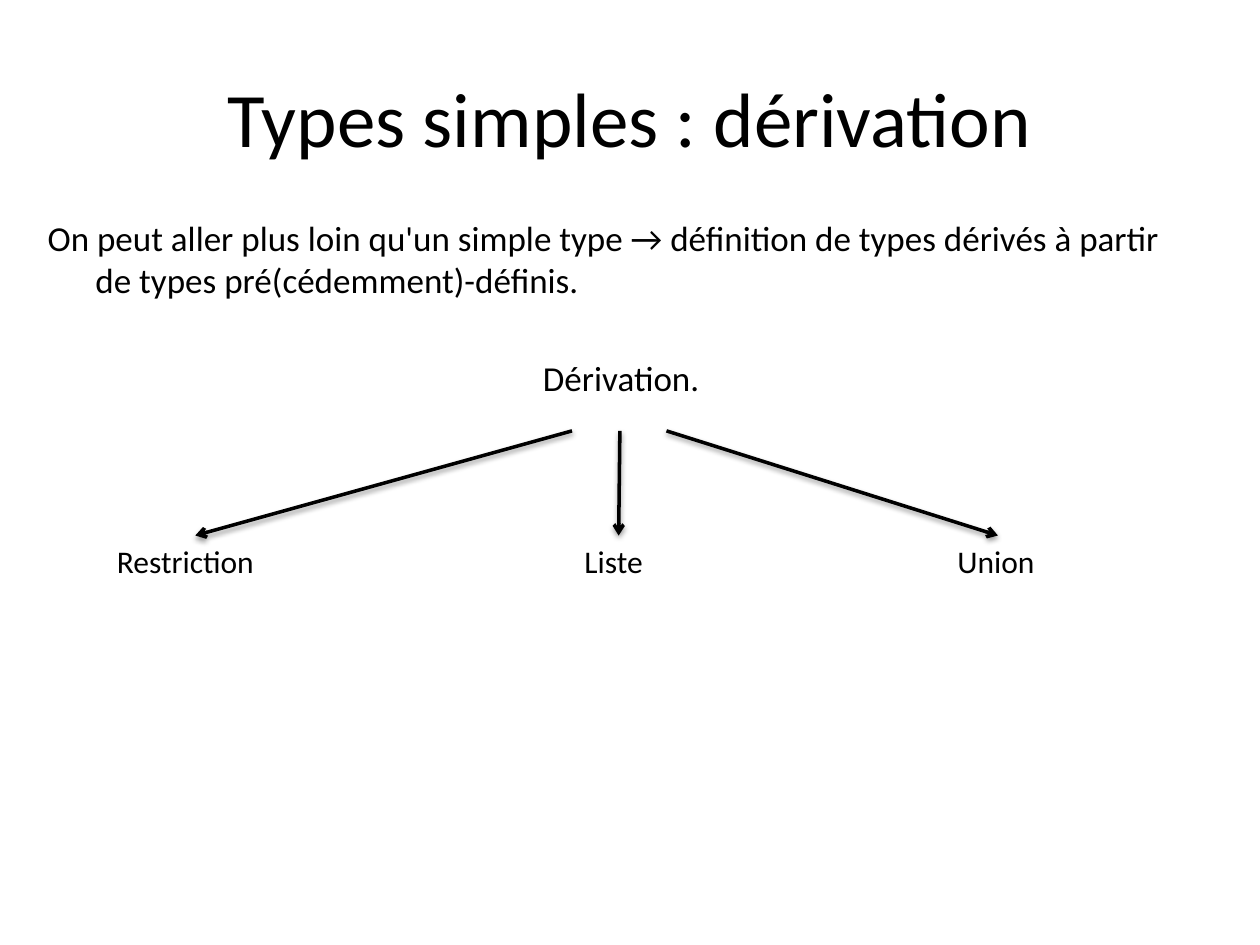
from lxml import etree
from pptx import Presentation
from pptx import util as u
from pptx.dml.color import RGBColor
from pptx.enum import shapes, text
from pptx.oxml.ns import qn

COLORS = {"ink": "000000", "paper": "FFFFFF"}
FONT = "Calibri"

prs = Presentation()
prs.slide_width, prs.slide_height = u.Inches(10), u.Inches(7.5)
# Grid of 100 columns by 75 rows
COL, ROW = prs.slide_width / 100, prs.slide_height / 75
s = prs.slides.add_slide(prs.slide_layouts[6])
s.background.fill.solid()
s.background.fill.fore_color.rgb = RGBColor.from_string(COLORS["paper"])


def grid(*cells):
    """Turn alternating column and row counts into lengths."""
    return [int(n * unit) for n, unit in zip(cells, (COL, ROW) * 2)]


def add_text(cells, lines, size, wrap=True):
    """Add a text box and return its frame."""
    tf = s.shapes.add_textbox(*grid(*cells)).text_frame
    tf.word_wrap = wrap
    tf.text = "\n".join(lines)
    for p in tf.paragraphs:
        for r in p.runs:
            r.font.name, r.font.size = FONT, u.Pt(size)
            r.font.color.rgb = RGBColor.from_string(COLORS["ink"])
    return tf


# Title
tf = add_text((5, 3, 90, 12.5), ["Types simples : dérivation"], 44)
tf.vertical_anchor = text.MSO_ANCHOR.MIDDLE
tf.paragraphs[0].alignment = text.PP_ALIGN.CENTER

# Introduction with a hanging indent, then the root of the tree
tf = add_text((2.8, 16.7, 93, 17.5), [
    "On peut aller plus loin qu'un simple type → définition de types dérivés "
    "à partir de types pré(cédemment)-définis.",
    "Dérivation.",
], 20)
intro, root = tf.paragraphs
pPr = intro._p.get_or_add_pPr()
pPr.set("marL", str(u.Inches(0.38)))
pPr.set("indent", str(-u.Inches(0.38)))
root.alignment = text.PP_ALIGN.CENTER
root.space_before = u.Pt(32)

# Branches: label, its left and width, arrow start and end columns
BRANCHES = [
    ("Restriction", 8.3, 14.4, 45.4, 15.5),
    ("Liste", 45.4, 7.5, 49.2, 49.1),
    ("Union", 75, 9, 52.9, 79.2),
]
ARROW_TOP, LABEL_TOP = 34.2, 42.5

for label, left, width, start, end in BRANCHES:
    add_text((left, LABEL_TOP, width, 4), [label], 18, wrap=False)

    # Arrow from the root to the label
    arrow = s.shapes.add_connector(shapes.MSO_CONNECTOR.STRAIGHT,
                                   *grid(start, ARROW_TOP, end, LABEL_TOP))
    arrow.line.width = u.Pt(2)
    arrow.line.color.rgb = RGBColor.from_string(COLORS["ink"])
    etree.SubElement(arrow.line._get_or_add_ln(), qn("a:tailEnd"), type="arrow")

    # Soft shadow straight below the arrow
    effects = etree.SubElement(arrow._element.spPr, qn("a:effectLst"))
    shadow = etree.SubElement(effects, qn("a:outerShdw"), blurRad=str(u.Pt(3.1)),
                              dist=str(u.Pt(1.6)), dir="5400000", rotWithShape="0")
    tint = etree.SubElement(shadow, qn("a:srgbClr"), val=COLORS["ink"])
    etree.SubElement(tint, qn("a:alpha"), val="38000")

prs.save("out.pptx")
